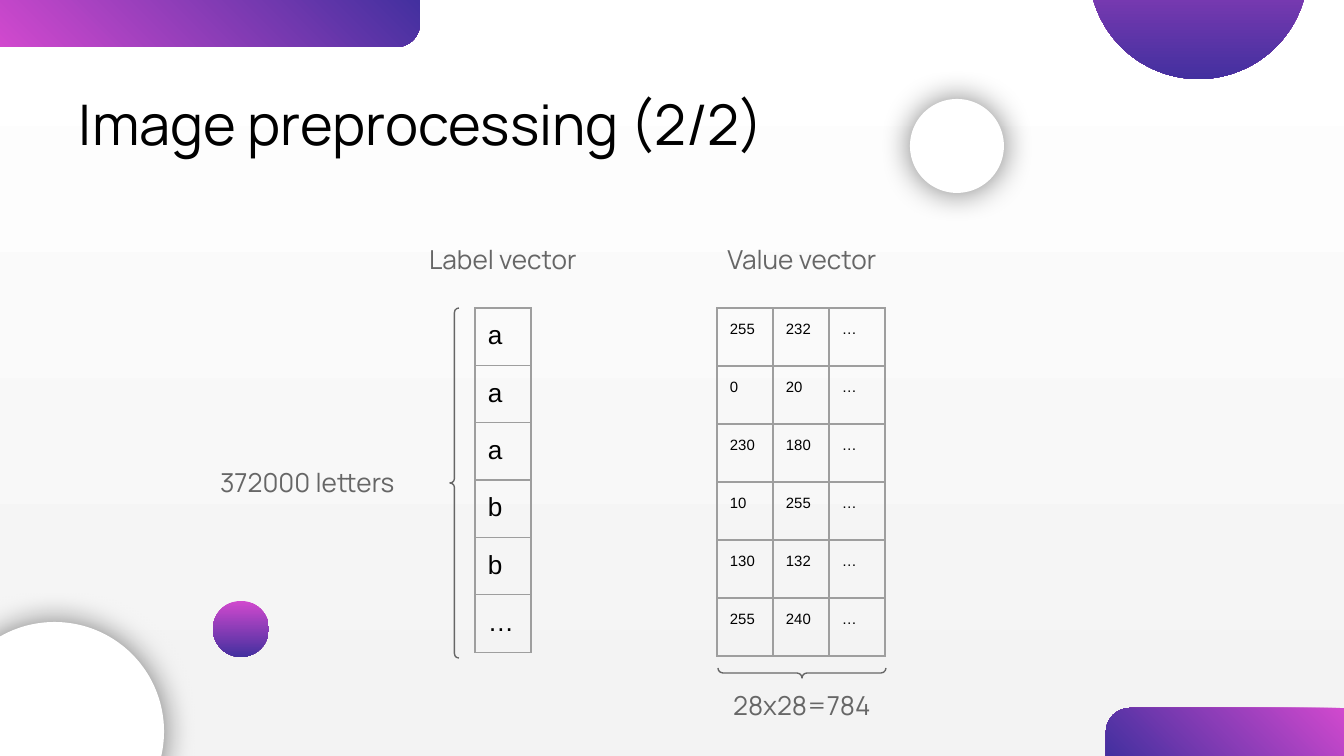
import dataclasses

import lxml.etree
import pptx
import pptx.dml.color
import pptx.enum.shapes
import pptx.enum.text
import pptx.oxml.ns
import pptx.util

EMU_PER_PX = 914400 / 134.4
SHAPES = pptx.enum.shapes.MSO_SHAPE
ALIGN = pptx.enum.text.PP_ALIGN
qn = pptx.oxml.ns.qn


@dataclasses.dataclass(frozen=True)
class Theme:
    black: str = "000000"
    white: str = "FFFFFF"
    mist: str = "F3F3F3"
    pink: str = "D149CE"
    indigo: str = "43309F"
    grey: str = "666666"
    grid: str = "9E9E9E"
    text_font: str = "Manrope"
    table_font: str = "Arial"
    title_size: int = 30
    label_size: int = 14
    letter_size: int = 14
    pixel_size: int = 8
    hairline: float = 0.75
    shadow_blur: float = 16.9


def px(length):
    return pptx.util.Emu(round(length * EMU_PER_PX))


def rgb(value):
    return pptx.dml.color.RGBColor.from_string(value)


def fill_gradient(fill, start, end, angle):
    """Run from start to end colour, with the angle measured clockwise."""
    fill.gradient()
    fill.gradient_angle = 360 - angle
    for stop, color in zip(fill.gradient_stops, (start, end)):
        stop.color.rgb = rgb(color)


class SlideBuilder:
    def __init__(self, slide, theme):
        self.slide = slide
        self.theme = theme

    def background(self):
        fill_gradient(self.slide.background.fill, self.theme.white, self.theme.mist, 90)

    def shape(self, kind, left, top, width, height):
        shape = self.slide.shapes.add_shape(kind, px(left), px(top), px(width), px(height))
        shape.shadow.inherit = False
        shape.line.fill.background()
        return shape

    def corner_bar(self, left, top, width, height, rotation=0):
        bar = self.shape(SHAPES.ROUND_1_RECTANGLE, left, top, width, height)
        bar.adjustments[0] = 0.5
        bar.rotation = rotation
        bar._element.spPr.find(qn("a:xfrm")).set("flipH", "1")
        fill_gradient(bar.fill, self.theme.pink, self.theme.indigo, 45)

    def gradient_ball(self, left, top, size):
        ball = self.shape(SHAPES.OVAL, left, top, size, size)
        fill_gradient(ball.fill, self.theme.pink, self.theme.indigo, 90)

    def white_ball(self, left, top, size):
        """A white disc with a soft shadow all around it."""
        ball = self.shape(SHAPES.OVAL, left, top, size, size)
        ball.fill.solid()
        ball.fill.fore_color.rgb = rgb(self.theme.white)
        effects = ball._element.spPr.find(qn("a:effectLst"))
        blur = pptx.util.Pt(self.theme.shadow_blur)
        shadow = lxml.etree.SubElement(
            effects, qn("a:outerShdw"), blurRad=str(int(blur)), dist="0", dir="0",
            algn="ctr", rotWithShape="0")
        color = lxml.etree.SubElement(shadow, qn("a:srgbClr"), val=self.theme.black)
        lxml.etree.SubElement(color, qn("a:alpha"), val="50000")

    def brace(self, left, top, width, height, rotation=0):
        brace = self.shape(SHAPES.LEFT_BRACE, left, top, width, height)
        brace.adjustments[0] = 0.5
        brace.adjustments[1] = 0.5
        brace.rotation = rotation
        brace.fill.background()
        brace.line.color.rgb = rgb(self.theme.grey)
        brace.line.width = pptx.util.Pt(self.theme.hairline)

    def style_text(self, paragraph, font, size, color):
        paragraph.font.name = font
        paragraph.font.size = pptx.util.Pt(size)
        paragraph.font.color.rgb = rgb(color)
        for run in paragraph.runs:
            run.font.name = font
            run.font.size = pptx.util.Pt(size)
            run.font.color.rgb = rgb(color)

    def text(self, words, left, top, width, height, size, color, align):
        box = self.slide.shapes.add_textbox(px(left), px(top), px(width), px(height))
        frame = box.text_frame
        frame.word_wrap = True
        frame.vertical_anchor = pptx.enum.text.MSO_ANCHOR.MIDDLE
        frame.margin_left = frame.margin_right = px(13)
        frame.margin_top = frame.margin_bottom = px(13)
        frame.text = words
        paragraph = frame.paragraphs[0]
        paragraph.alignment = align
        self.style_text(paragraph, self.theme.text_font, size, color)

    def title(self, words):
        self.text(words, 66, 55, 989, 137, self.theme.title_size, self.theme.black, ALIGN.LEFT)

    def label(self, words, left, top, width=318, align=ALIGN.CENTER):
        self.text(words, left, top, width, 59, self.theme.label_size, self.theme.grey, align)

    def cell_border(self, cell):
        properties = cell._tc.get_or_add_tcPr()
        width = str(int(pptx.util.Pt(self.theme.hairline)))
        for position, side in enumerate(("a:lnL", "a:lnR", "a:lnT", "a:lnB")):
            line = lxml.etree.Element(qn(side), w=width)
            solid = lxml.etree.SubElement(line, qn("a:solidFill"))
            lxml.etree.SubElement(solid, qn("a:srgbClr"), val=self.theme.grid)
            properties.insert(position, line)

    def table(self, rows, left, top, column_width, row_height, size):
        columns = len(rows[0])
        table = self.slide.shapes.add_table(
            len(rows), columns, px(left), px(top),
            px(column_width * columns), px(row_height * len(rows))).table
        table.first_row = table.horz_banding = False
        for column in table.columns:
            column.width = px(column_width)
        for row, values in zip(table.rows, rows):
            row.height = px(row_height)
            for cell, value in zip(row.cells, values):
                cell.fill.background()
                cell.margin_left = cell.margin_right = px(13)
                cell.margin_top = cell.margin_bottom = px(13)
                cell.text_frame.text = value
                self.style_text(cell.text_frame.paragraphs[0], self.theme.table_font,
                                size, self.theme.black)
                self.cell_border(cell)


def main():
    presentation = pptx.Presentation()
    presentation.slide_width = px(1344)
    presentation.slide_height = px(756)
    theme = Theme()
    builder = SlideBuilder(presentation.slides.add_slide(presentation.slide_layouts[6]), theme)

    builder.background()
    builder.corner_bar(0, 0, 420, 47, rotation=180)
    builder.corner_bar(1106, 708, 238, 48)
    builder.white_ball(-55, 622, 219)
    builder.gradient_ball(1089, -140, 219)
    builder.title("Image preprocessing (2/2)")
    builder.gradient_ball(213, 601, 56)
    builder.white_ball(910, 99, 94)

    letters = [[letter] for letter in "aaabb…"]
    pixels = [
        ["255", "232", "…"],
        ["0", "20", "…"],
        ["230", "180", "…"],
        ["10", "255", "…"],
        ["130", "132", "…"],
        ["255", "240", "…"],
    ]
    builder.table(letters, 475, 308, 56, 56, theme.letter_size)
    builder.table(pixels, 717, 308, 56, 58, theme.pixel_size)

    builder.label("Label vector", 344, 230)
    builder.label("Value vector", 643, 230)
    builder.brace(797, 589, 10, 168, rotation=270)
    builder.label("28x28=784", 643, 676)
    builder.label("372000 letters", 207, 453, width=237, align=ALIGN.LEFT)
    builder.brace(450, 308, 9, 350)

    presentation.save("out.pptx")


if __name__ == "__main__":
    main()
